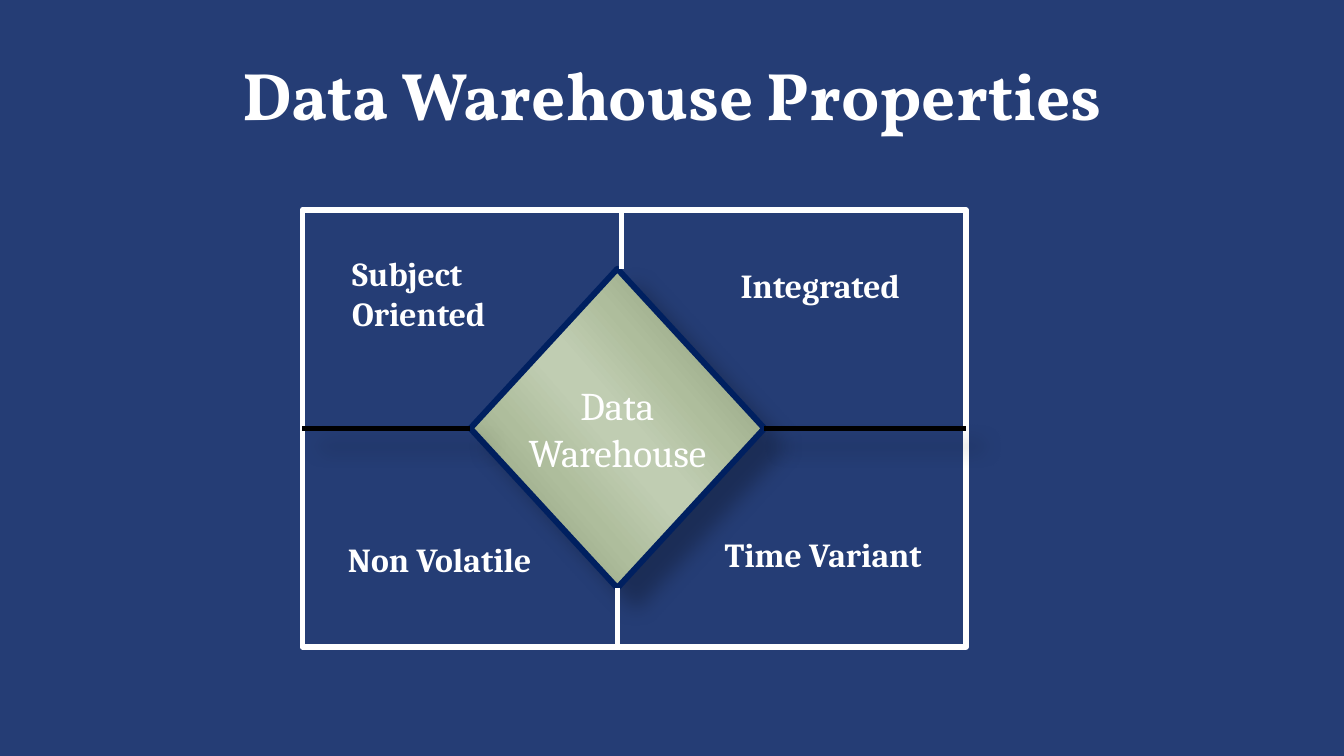
from lxml.etree import SubElement
from pptx import Presentation
from pptx.dml.color import RGBColor
from pptx.enum.shapes import MSO_CONNECTOR, MSO_SHAPE
from pptx.enum.text import MSO_ANCHOR, MSO_AUTO_SIZE, PP_ALIGN
from pptx.oxml import parse_xml
from pptx.oxml.ns import nsdecls, qn
from pptx.util import Pt

COLORS = {
    "background": "253D75",
    "white": "FFFFFF",
    "black": "000000",
    "navy": "002060",
    "sage_dark": "7D8D6A",
    "sage": "AEBD9C",
    "sage_light": "C0CDB2",
}
SAGE_STOPS = [(0, "sage_dark"), (33, "sage"), (47, "sage_light"),
              (53, "sage_light"), (68, "sage"), (100, "sage_dark")]
TOP, LEFT, BOTTOM, RIGHT = range(4)


def color(name):
    """Return the named colour."""
    return RGBColor.from_string(COLORS[name])


def style_line(line, name, width):
    """Set the colour and the width in points of a line."""
    line.color.rgb = color(name)
    line.width = Pt(width)


def set_shadow(shape, visible):
    """Give a shape a soft shadow to the lower right, or none."""
    properties = shape.element.spPr
    for effects in properties.findall(qn("a:effectLst")):
        properties.remove(effects)
    effects = SubElement(properties, qn("a:effectLst"))
    if visible:
        effects.append(parse_xml(
            f'<a:outerShdw {nsdecls("a")} blurRad="{Pt(15)}" dist="{Pt(18)}" dir="2700000" '
            f'algn="ctr" rotWithShape="0"><a:srgbClr val="{COLORS["black"]}">'
            '<a:alpha val="26000"/></a:srgbClr></a:outerShdw>'))


def fill_gradient(shape, stops, angle):
    """Fill a shape with a linear gradient, its angle in clockwise degrees."""
    shape.fill.gradient()
    gradient = shape.element.spPr.find(qn("a:gradFill"))
    marks = "".join(f'<a:gs pos="{position * 1000}"><a:srgbClr val="{COLORS[name]}"/></a:gs>'
                    for position, name in stops)
    gradient.getparent().replace(gradient, parse_xml(
        f'<a:gradFill {nsdecls("a")} rotWithShape="1"><a:gsLst>{marks}</a:gsLst>'
        f'<a:lin ang="{angle * 60000}" scaled="0"/></a:gradFill>'))


def write_lines(frame, lines, size, font="Cambria", bold=False, align=PP_ALIGN.LEFT):
    """Write one white paragraph for each line."""
    frame.text = "\n".join(lines)
    for paragraph in frame.paragraphs:
        paragraph.alignment = align
        paragraph.font.name = font
        paragraph.font.size = Pt(size)
        paragraph.font.bold = bold
        paragraph.font.color.rgb = color("white")


def add_title(slide, left, top, width, height):
    """Add the centred title in the given box."""
    frame = slide.shapes.add_textbox(Pt(left), Pt(top), Pt(width), Pt(height)).text_frame
    frame.word_wrap = True
    frame.vertical_anchor = MSO_ANCHOR.MIDDLE
    write_lines(frame, ["Data Warehouse Properties"], 48, "Vollkorn", True, PP_ALIGN.CENTER)


def add_label(slide, lines, left, top, width, height):
    """Add a bold quadrant label."""
    frame = slide.shapes.add_textbox(Pt(left), Pt(top), Pt(width), Pt(height)).text_frame
    frame.word_wrap = False
    frame.auto_size = MSO_AUTO_SIZE.SHAPE_TO_FIT_TEXT
    write_lines(frame, lines, 24, bold=True)


def add_divider(slide, start, end, name, shadow):
    """Add a straight divider between two points."""
    points = [Pt(value) for value in (*start, *end)]
    divider = slide.shapes.add_connector(MSO_CONNECTOR.STRAIGHT, *points)
    style_line(divider.line, name, 4)
    set_shadow(divider, shadow)
    return divider


def add_diamond(slide, left, top, width, height):
    """Add the central diamond with its caption."""
    diamond = slide.shapes.add_shape(
        MSO_SHAPE.FLOWCHART_DECISION, Pt(left), Pt(top), Pt(width), Pt(height))
    fill_gradient(diamond, SAGE_STOPS, 139)
    style_line(diamond.line, "navy", 4.25)
    set_shadow(diamond, True)
    frame = diamond.text_frame
    frame.word_wrap = False
    frame.vertical_anchor = MSO_ANCHOR.MIDDLE
    write_lines(frame, ["Data", "Warehouse"], 28, align=PP_ALIGN.CENTER)
    return diamond


def add_quadrants(slide, left, top, width, height):
    """Add the frame, diamond, dividers and four labels in the given box."""
    frame = slide.shapes.add_shape(
        MSO_SHAPE.RECTANGLE, Pt(left), Pt(top), Pt(width), Pt(height))
    frame.fill.background()
    style_line(frame.line, "white", 4)
    set_shadow(frame, False)

    diamond_left, diamond_top, diamond_width, diamond_height = left + 120, top + 42, 210, 228
    diamond = add_diamond(slide, diamond_left, diamond_top, diamond_width, diamond_height)
    center = diamond_left + diamond_width / 2
    middle = top + height / 2

    for side, start, end in [(RIGHT, diamond_left + diamond_width, left + width),
                             (LEFT, diamond_left, left)]:
        divider = add_divider(slide, (start, middle), (end, middle), "black", True)
        divider.begin_connect(diamond, side)
        divider.end_connect(frame, side)
    lower = add_divider(slide, (center, diamond_top + diamond_height),
                        (center, top + height), "white", False)
    lower.begin_connect(diamond, BOTTOM)
    add_divider(slide, (center + 3, diamond_top), (center + 3, top), "white", False)

    for lines, x, y, label_width, label_height in [
        (["Integrated"], 306, 36, 129, 36),
        (["Time Variant"], 294.5, 228, 162, 36),
        (["Non Volatile"], 25.5, 231.6, 157.5, 36),
        (["Subject", "Oriented"], 28.5, 27, 114.5, 65.5),
    ]:
        add_label(slide, lines, left + x, top + y, label_width, label_height)


def main():
    """Build and save the slide."""
    presentation = Presentation()
    presentation.slide_width, presentation.slide_height = Pt(960), Pt(540)
    slide = presentation.slides.add_slide(presentation.slide_layouts[6])
    slide.background.fill.solid()
    slide.background.fill.fore_color.rgb = color("background")
    add_title(slide, 48, 21.6, 864, 90)
    add_quadrants(slide, 216, 150, 474, 312)
    presentation.save("out.pptx")


if __name__ == "__main__":
    main()
